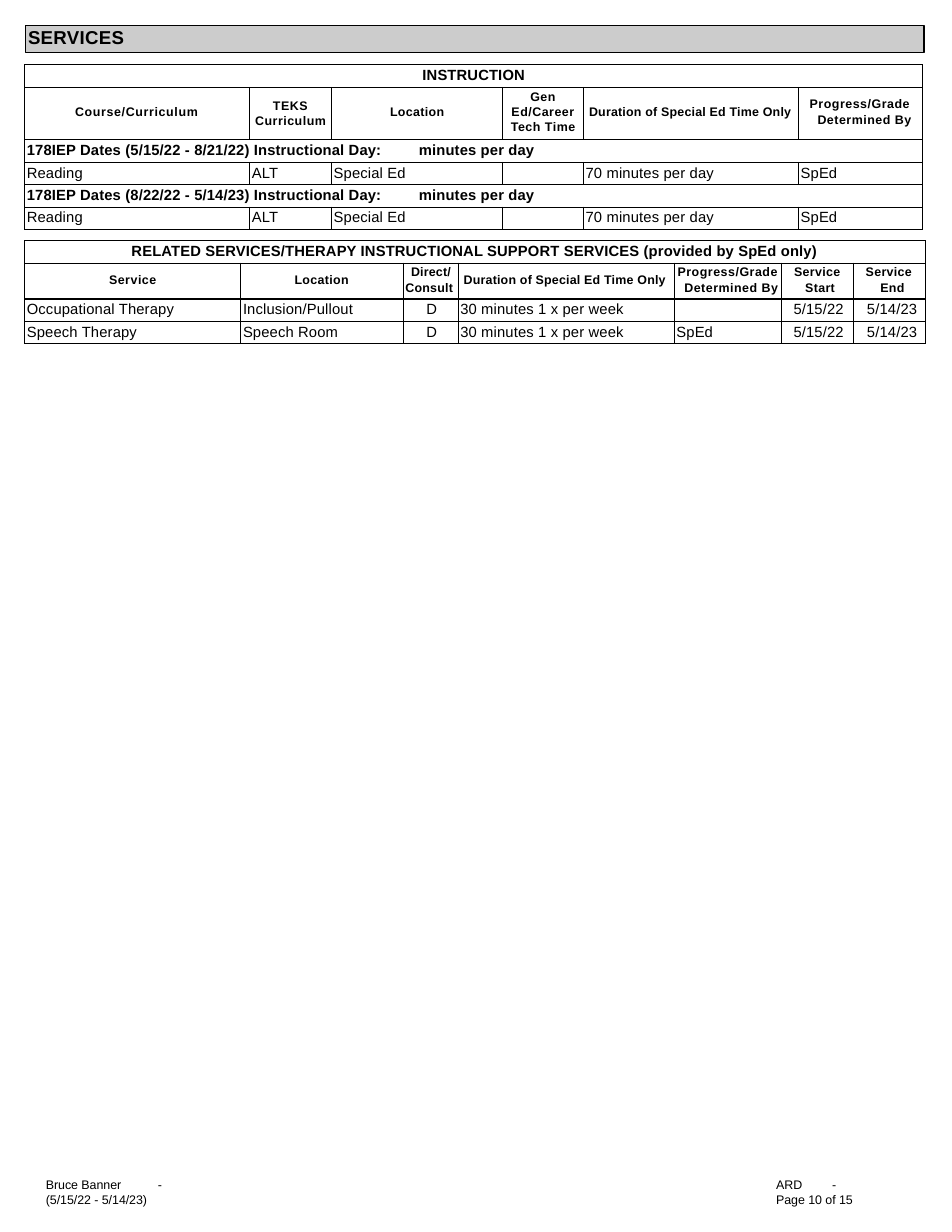
from lxml.etree import SubElement
from pptx import Presentation
from pptx.dml.color import RGBColor
from pptx.enum.shapes import MSO_SHAPE
from pptx.enum.text import MSO_ANCHOR, PP_ALIGN
from pptx.oxml.ns import qn
from pptx.util import Inches, Pt

BLACK = RGBColor(0x00, 0x00, 0x00)
GRAY = RGBColor(0xCC, 0xCC, 0xCC)
FONT = "Arial"
LEFT, CENTER, RIGHT = PP_ALIGN.LEFT, PP_ALIGN.CENTER, PP_ALIGN.RIGHT
BORDER_PT = 0.75


def write(p, text, size, bold=False, spc=0.1, align=LEFT, left=0, first=0,
          spacing=None, tabs=()):
    """Fill one paragraph; left and first are indents in inches."""
    p.alignment = align
    if spacing:
        p.line_spacing = spacing
    pPr = p._p.get_or_add_pPr()
    pPr.set("marL", str(Inches(left)))
    pPr.set("indent", str(Inches(first)))
    if tabs:
        tab_list = SubElement(pPr, qn("a:tabLst"))
        for stop in tabs:
            SubElement(tab_list, qn("a:tab"), pos=str(Inches(stop)), algn="l")
    r = p.add_run()
    r.text = text
    r.font.name = FONT
    r.font.size = Pt(size)
    r.font.bold = bold
    r.font.color.rgb = BLACK
    r._r.get_or_add_rPr().set("spc", str(round(spc * 100)))


def set_margins(box, left=0, top=0, right=0):
    box.margin_left, box.margin_top = Inches(left), Inches(top)
    box.margin_right, box.margin_bottom = Inches(right), 0


def add_footer(s, left, width, text, tabs):
    sp = s.shapes.add_textbox(Inches(left), Inches(10.51), Inches(width), Inches(0.15))
    tf = sp.text_frame
    tf.word_wrap = True
    set_margins(tf)
    write(tf.paragraphs[0], text, 8, spc=-0.05, tabs=tabs)


def add_banner(s, text):
    sp = s.shapes.add_shape(MSO_SHAPE.RECTANGLE, Inches(0.23), Inches(0.23),
                            Inches(8.02), Inches(0.24))
    sp.shadow.inherit = False
    sp.fill.solid()
    sp.fill.fore_color.rgb = GRAY
    sp.line.color.rgb = BLACK
    sp.line.width = Pt(BORDER_PT)
    tf = sp.text_frame
    tf.vertical_anchor = MSO_ANCHOR.TOP
    set_margins(tf, left=0.02)
    write(tf.paragraphs[0], text, 12, bold=True, spc=0.2)


def style_cell(cell):
    """Clear the fill, draw all four borders and keep empty text small."""
    set_margins(cell)
    cell.fill.background()
    tcPr = cell._tc.get_or_add_tcPr()
    for i, side in enumerate(("a:lnL", "a:lnR", "a:lnT", "a:lnB")):
        ln = tcPr.makeelement(qn(side), {"w": str(Pt(BORDER_PT))})
        fill = SubElement(ln, qn("a:solidFill"))
        SubElement(fill, qn("a:srgbClr"), val=str(BLACK))
        tcPr.insert(i, ln)
    SubElement(cell.text_frame.paragraphs[0]._p, qn("a:endParaRPr"), sz="800")


def add_grid(s, top, cols, rows):
    shape = s.shapes.add_table(len(rows), len(cols), Inches(0.22), Inches(top),
                               Inches(sum(cols)), Inches(sum(rows)))
    table = shape.table
    table.first_row = table.horz_banding = False
    for col, width in zip(table.columns, cols):
        col.width = Inches(width)
    for row, height in zip(table.rows, rows):
        row.height = Inches(height)
    for cell in table.iter_cells():
        style_cell(cell)
    return table


def fill_span(table, row, text, **fmt):
    """One bold line across the whole width."""
    cell = table.cell(row, 0)
    cell.merge(table.cell(row, len(table.columns) - 1))
    set_margins(cell, left=0 if fmt.get("align") == CENTER else 0.02, top=0.02)
    write(cell.text_frame.paragraphs[0], text, 9.5, bold=True, **fmt)


def fill_headers(table, headers):
    for col, (text, top, fmt) in enumerate(headers):
        cell = table.cell(1, col)
        set_margins(cell, top=top)
        write(cell.text_frame.paragraphs[0], text, 8, bold=True, **fmt)


def fill_row(table, row, values, aligns):
    for col, (text, align) in enumerate(zip(values, aligns)):
        if text:
            cell = table.cell(row, col)
            set_margins(cell, left=0.02, top=0.02, right=0.07 if align == RIGHT else 0)
            write(cell.text_frame.paragraphs[0], text, 9.5, align=align)


def add_instruction(s):
    table = add_grid(s, 0.58, [2.01, 0.73, 1.53, 0.72, 1.92, 1.11],
                     [0.2, 0.47] + [0.2] * 4)
    fill_span(table, 0, "INSTRUCTION", align=CENTER)
    fill_headers(table, [
        ("Course/Curriculum", 0.16, dict(spc=0.4, left=0.45)),
        ("TEKS Curriculum", 0.09, dict(spc=0.3, align=CENTER, spacing=1.09)),
        ("Location", 0.16, dict(spc=0.2, align=CENTER)),
        ("Gen Ed/Career Tech Time", 0.01,
         dict(spc=0.3, align=CENTER, spacing=1.09)),
        ("Duration of Special Ed Time Only", 0.16, dict(left=0.05)),
        ("Progress/Grade Determined By", 0.08,
         dict(spc=0.3, left=0.17, first=-0.07, spacing=1.09)),
    ])
    # Each period is a date line followed by its course
    for row, dates in ((2, "5/15/22 - 8/21/22"), (4, "8/22/22 - 5/14/23")):
        fill_span(table, row,
                  f"178IEP Dates ({dates}) Instructional Day:\tminutes per day",
                  tabs=[3.9])
        fill_row(table, row + 1,
                 ["Reading", "ALT", "Special Ed", "", "70 minutes per day", "SpEd"],
                 [LEFT] * 6)


def add_related_services(s):
    table = add_grid(s, 2.15, [1.93, 1.45, 0.49, 1.93, 0.96, 0.64, 0.64],
                     [0.2, 0.32, 0.2, 0.2])
    fill_span(table, 0, "RELATED SERVICES/THERAPY INSTRUCTIONAL SUPPORT SERVICES "
              "(provided by SpEd only)", align=CENTER)
    fill_headers(table, [
        ("Service", 0.09, dict(spc=0.3, align=CENTER)),
        ("Location", 0.09, dict(spc=0.2, left=0.48)),
        ("Direct/ Consult", 0.01, dict(left=0.02, first=0.05, spacing=1.09)),
        ("Duration of Special Ed Time Only", 0.09, dict(left=0.05)),
        ("Progress/Grade Determined By", 0.01,
         dict(spc=0.3, left=0.09, first=-0.06, spacing=1.09)),
        ("Service Start", 0.01, dict(spc=0.2, left=0.21, first=-0.1, spacing=1.09)),
        ("Service End", 0.01, dict(spc=0.2, left=0.24, first=-0.13, spacing=1.09)),
    ])
    aligns = [LEFT, LEFT, CENTER, LEFT, LEFT, CENTER, RIGHT]
    services = [("Occupational Therapy", "Inclusion/Pullout", ""),
                ("Speech Therapy", "Speech Room", "SpEd")]
    for row, (service, place, grader) in enumerate(services, start=2):
        fill_row(table, row, [service, place, "D", "30 minutes 1 x per week",
                              grader, "5/15/22", "5/14/23"], aligns)


def main():
    prs = Presentation()
    prs.slide_width, prs.slide_height = Inches(8.5), Inches(11)
    s = prs.slides.add_slide(prs.slide_layouts[6])
    # Footer
    add_footer(s, 0.41, 1.78, "Bruce Banner\t-\t(5/15/22 - 5/14/23)", [0.74, 0.83])
    add_footer(s, 6.93, 1.22, "ARD\t-\tPage 10 of 15", [0.33, 0.45])
    # Tables
    add_instruction(s)
    add_related_services(s)
    # Heading
    add_banner(s, "SERVICES")
    prs.save("out.pptx")


if __name__ == "__main__":
    main()
